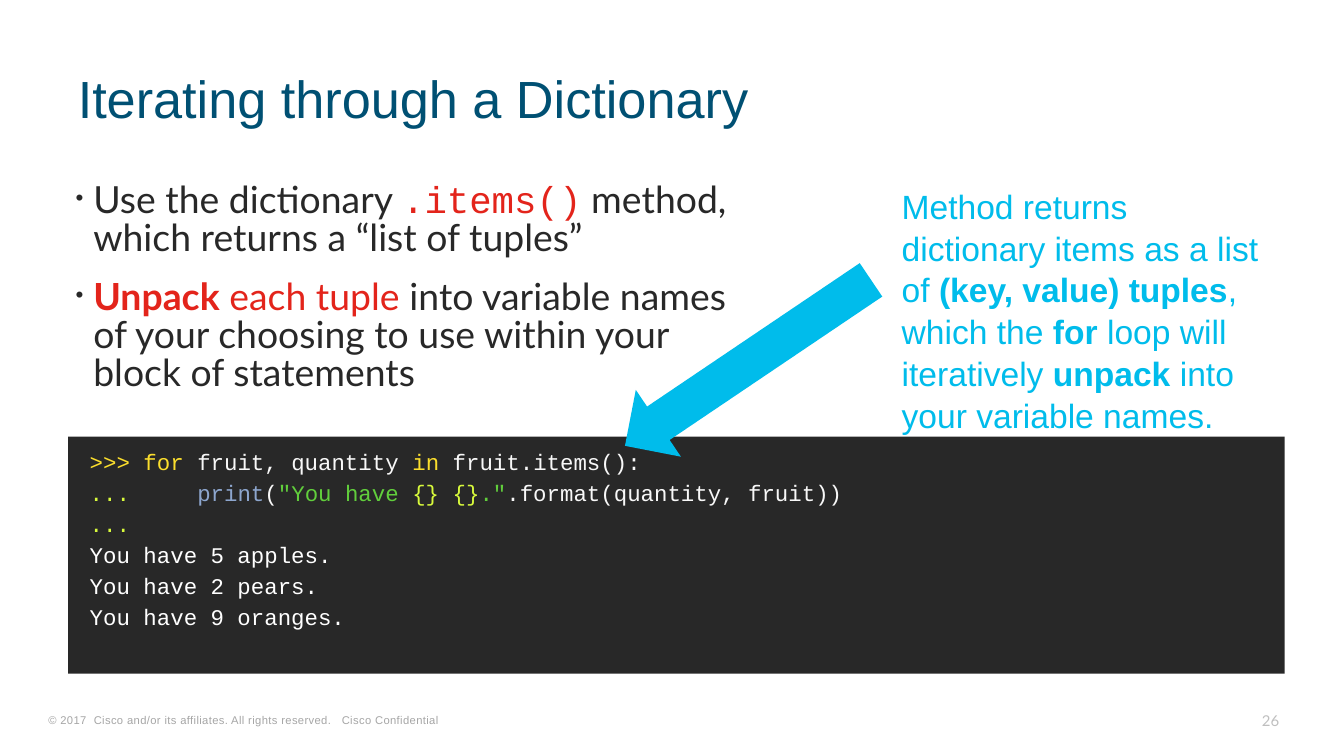
from collections import namedtuple
from dataclasses import dataclass

from lxml import etree
from pptx import Presentation
from pptx.dml.color import RGBColor as Rgb
from pptx.enum.shapes import MSO_SHAPE as Form
from pptx.enum.text import MSO_ANCHOR as Anchor, PP_ALIGN as Align
from pptx.oxml.ns import qn
from pptx.util import Pt

Box = namedtuple("Box", "left top width height")


@dataclass(frozen=True)
class Theme:
    # Colours
    title: str = "005073"
    ink: str = "282828"
    red: str = "E3241B"
    sky: str = "00BCEB"
    grey: str = "A6A6A6"
    pale: str = "BFBFBF"
    white: str = "FFFFFF"
    plain: str = "F8F8F8"
    gold: str = "FBDE2D"
    lime: str = "D8FA3C"
    green: str = "61CE3C"
    blue: str = "8DA6CE"
    # Fonts
    sans: str = "Arial"
    body: str = "Lato"
    mono: str = "Courier New"
    # Type sizes
    head: int = 28
    large: int = 20
    note: int = 18
    code: int = 12
    page: int = 8
    foot: int = 6


T = Theme()


def put(obj, form):
    for key, value in form.items():
        setattr(obj, key, value)


def frame(shape, pads=(7.2, 3.6), **form):
    """Set margins and other format values of a text frame."""
    side, edge = map(Pt, pads)
    put(shape.text_frame, {
        "word_wrap": True, "margin_left": side, "margin_right": side,
        "margin_top": edge, "margin_bottom": edge, **form})
    return shape.text_frame


def text(slide, box, **form):
    return frame(slide.shapes.add_textbox(*map(Pt, box)), **form)


def solid(slide, kind, box, color):
    shape = slide.shapes.add_shape(kind, *map(Pt, box))
    shape.shadow.inherit = False
    shape.fill.solid()
    shape.fill.fore_color.rgb = Rgb.from_string(color)
    shape.line.fill.background()
    return shape


def write(para, runs, size, font, color):
    """Add runs of (words, format values) to a paragraph."""
    for words, form in runs:
        look = {"name": font, "color": color, "bold": False, **form}
        tint = Rgb.from_string(look.pop("color"))
        for i, line in enumerate(words.split("\n")):
            if i:
                para.add_line_break()
            run = para.add_run()
            run.text = line
            put(run.font, {"size": Pt(size), **look})
            run.font.color.rgb = tint


def paras(body, count):
    return [body.paragraphs[0]] + [body.add_paragraph() for _ in range(count - 1)]


def indent(para, left, first=0):
    props = para._p.get_or_add_pPr()
    props.set("marL", str(Pt(left)))
    props.set("indent", str(Pt(first)))
    return props


def bullet(para):
    props = indent(para, 13.5, -9.5)
    tint = etree.SubElement(props, qn("a:buClr"))
    etree.SubElement(tint, qn("a:srgbClr"), val=T.ink)
    etree.SubElement(props, qn("a:buSzPct"), val="60000")
    etree.SubElement(props, qn("a:buFont"), typeface=T.sans)
    etree.SubElement(props, qn("a:buChar"), char="•")


def title(slide, box):
    para = text(slide, box, vertical_anchor=Anchor.MIDDLE).paragraphs[0]
    para.line_spacing = 0.8
    write(para, [("Iterating through a Dictionary", {})], T.head, T.sans, T.title)


def points(slide, box):
    red = {"color": T.red}
    items = [
        [("Use the dictionary ", {}),
         (".items()", {"name": T.mono, **red}),
         (" method,\nwhich returns a “list of tuples”", {})],
        [("Unpack", {"bold": True, **red}),
         (" each tuple ", red),
         ("into variable names of your choosing to use within your "
          "block of statements", {})],
    ]
    body = text(slide, box, pads=(0, 3.6))
    for i, (para, runs) in enumerate(zip(paras(body, len(items)), items)):
        bullet(para)
        put(para, {"line_spacing": 0.85, "space_before": Pt(11.1 if i else 0)})
        write(para, runs, T.large, T.body, T.ink)


def console(slide, box):
    gold, lime, green, blue, white = (
        {"color": c} for c in (T.gold, T.lime, T.green, T.blue, T.white))
    output = ["You have 5 apples.", "You have 2 pears.", "You have 9 oranges."]
    lines = [
        [(">>> for ", gold), ("fruit, quantity ", {}), ("in ", gold),
         ("fruit.items():", {})],
        [("...     ", lime), ("print", blue), ("(", {}), ('"You have ', green),
         ("{} {}", lime), ('."', green), (".format(quantity, fruit))", {})],
        [("...", lime)],
        *([(line, white)] for line in output),
    ]
    panel = solid(slide, Form.RECTANGLE, box, T.ink)
    body = frame(panel, vertical_anchor=Anchor.TOP)
    for para, runs in zip(paras(body, len(lines)), lines):
        indent(para, 4.5)
        put(para, {"alignment": Align.LEFT, "line_spacing": 1.16})
        write(para, runs, T.code, T.mono, T.plain)


def callout(slide, box):
    """Note on the right, with an arrow down to the loop."""
    bold = {"bold": True}
    para = text(slide, box).paragraphs[0]
    para.line_spacing = 1.04
    write(para, [
        ("Method returns dictionary items as a list of ", {}),
        ("(key, value) tuples", bold), (", which the ", {}), ("for", bold),
        (" loop will iteratively ", {}), ("unpack", bold),
        (" into your variable names.", {})], T.note, T.sans, T.sky)
    place = Box(box.left - 154.8, box.top + 77.8, 159, 43.2)
    solid(slide, Form.RIGHT_ARROW, place, T.sky).rotation = 146


def footer(slide, box):
    low = {"vertical_anchor": Anchor.BOTTOM}
    mark = text(slide, Box(box.left, box.top + 2.2, 267.8, 12.2),
                pads=(5, 2.2), **low).paragraphs[0]
    write(mark, [("© 2017  Cisco and/or its affiliates. All rights reserved.   "
                  "Cisco Confidential", {})], T.foot, T.sans, T.grey)
    for run in mark.runs:
        run._r.get_or_add_rPr().set("spc", "20")
    wide = 23
    page = text(slide, Box(box.left + box.width - wide, box.top, wide, box.height),
                pads=(6.5, 2.9), **{**low, "word_wrap": False}).paragraphs[0]
    page.alignment = Align.RIGHT
    write(page, [("26", {})], T.page, T.body, T.pale)


def main():
    deck = Presentation()
    put(deck, {"slide_width": Pt(720), "slide_height": Pt(405)})
    slide = deck.slides.add_slide(deck.slide_layouts[6])
    footer(slide, Box(20.9, 377.3, 671, 16.6))
    console(slide, Box(36.5, 234, 651.8, 127))
    title(slide, Box(34.6, 26.6, 657.4, 57.6))
    points(slide, Box(36.5, 94.3, 365, 129.6))
    callout(slide, Box(476, 95, 211.7, 138.2))
    deck.save("out.pptx")


if __name__ == "__main__":
    main()
